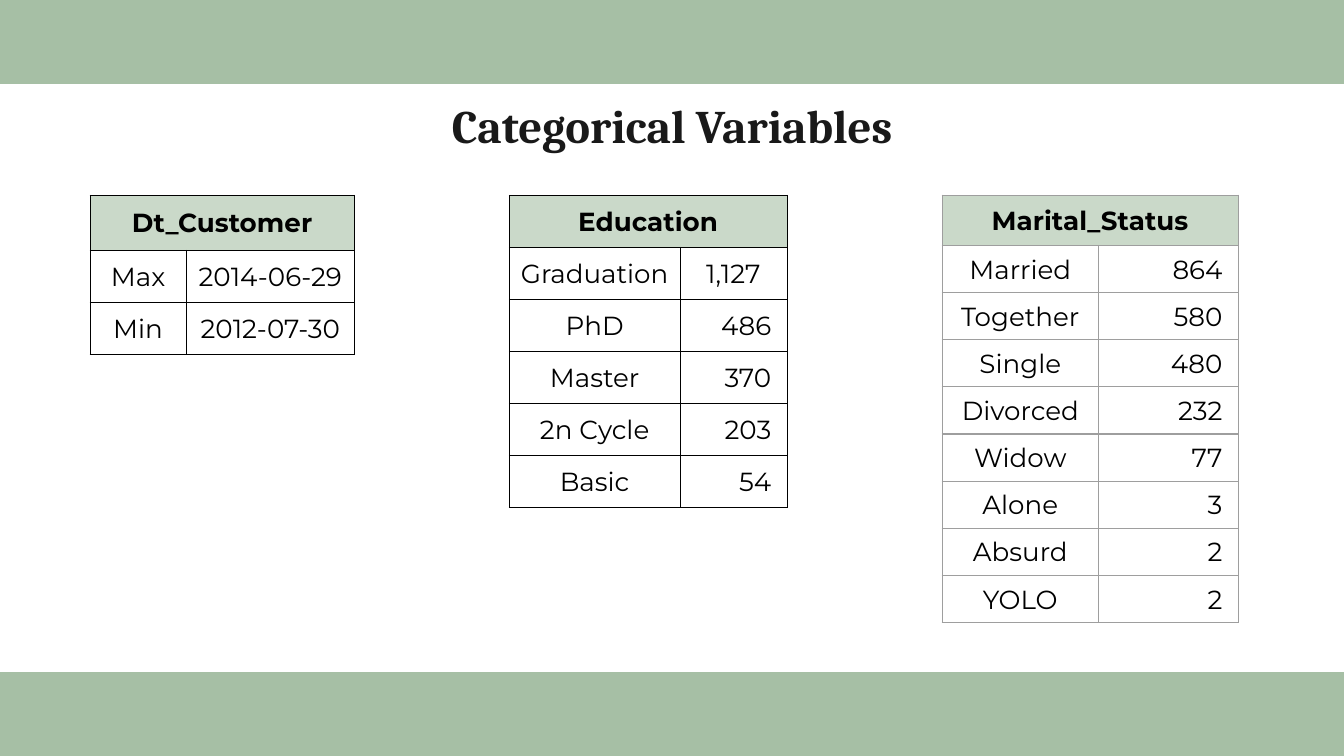
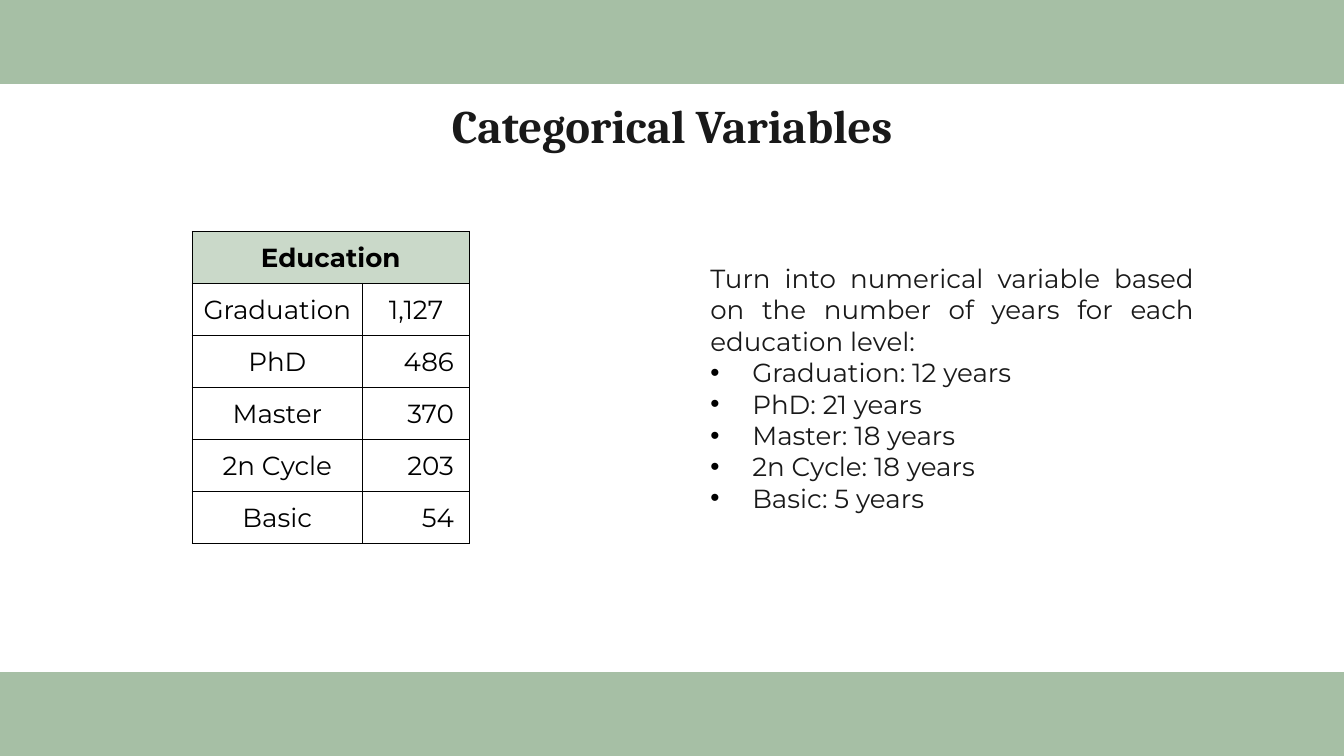
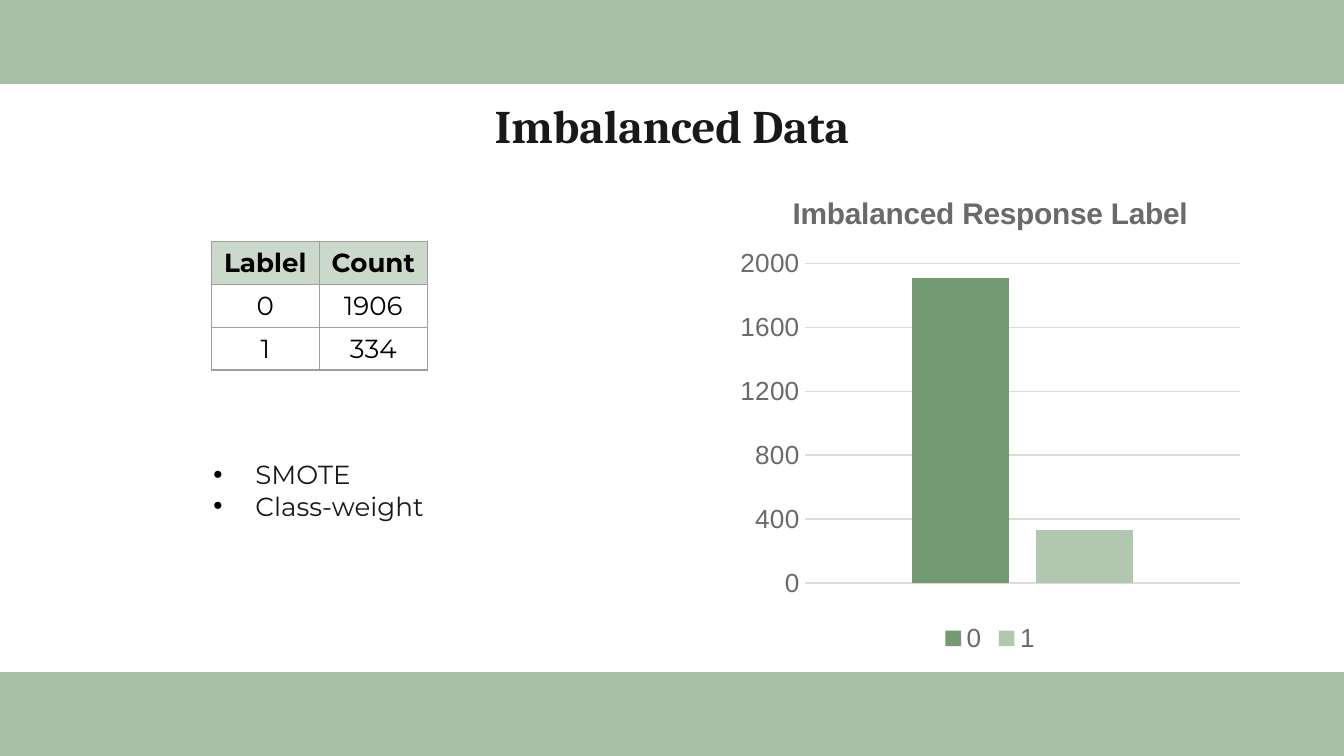
"""Build three slides on categorical variables and imbalanced data."""
from dataclasses import dataclass

from lxml.etree import SubElement
from pptx import Presentation
from pptx.chart.data import CategoryChartData
from pptx.dml.color import RGBColor
from pptx.enum.chart import XL_CHART_TYPE, XL_LEGEND_POSITION, XL_TICK_MARK
from pptx.enum.shapes import MSO_SHAPE
from pptx.enum.text import MSO_ANCHOR, PP_ALIGN
from pptx.oxml import parse_xml
from pptx.oxml.ns import nsdecls, qn
from pptx.util import Pt


@dataclass(frozen=True)
class Theme:
    """Colours, fonts and sizes shared by all slides."""
    band: str = "A6BFA5"
    paper: str = "FFFFFF"
    ink: str = "191919"
    black: str = "000000"
    grey: str = "9E9E9E"
    header: str = "CAD9C9"
    chart_text: str = "6A6A6A"
    grid: str = "DCDCDC"
    majority: str = "739A71"
    minority: str = "B1C7B0"
    title_font: str = "Cambria"
    body_font: str = "Montserrat"
    chart_font: str = "Arial"
    title_size: float = 25
    chart_title_size: float = 16
    body_size: float = 14
    text_inset: float = 7.2
    cell_inset: float = 0.72
    count_inset: float = 8.4
    bullet_indent: float = 22.5


@dataclass(frozen=True)
class Box:
    """A region of the slide in points."""
    left: float
    top: float
    width: float
    height: float

    def lengths(self):
        """Return the four sides as lengths."""
        return Pt(self.left), Pt(self.top), Pt(self.width), Pt(self.height)


THEME = Theme()
PAGE = Box(0, 0, 720, 405)
PANEL = Box(0, 45, 720, 315)
HEADING = Box(56.7, 44.6, 606.6, 45)

SIGN_UP_DATES = [("Max", "2014-06-29"), ("Min", "2012-07-30")]
EDUCATION = [("Graduation", "1,127"), ("PhD", "486"), ("Master", "370"),
             ("2n Cycle", "203"), ("Basic", "54")]
MARITAL = [("Married", "864"), ("Together", "580"), ("Single", "480"),
           ("Divorced", "232"), ("Widow", "77"), ("Alone", "3"),
           ("Absurd", "2"), ("YOLO", "2")]
RESPONSES = [("0", "1906"), ("1", "334")]
STUDY_YEARS = ["Graduation: 12 years", "PhD: 21 years", "Master: 18 years",
               "2n Cycle: 18 years", "Basic: 5 years"]


def rgb(code):
    """Turn a hex code into a colour."""
    return RGBColor.from_string(code)


def style_font(font, name, size, color, bold=False):
    """Set the face, size, colour and weight of a font."""
    font.name, font.size, font.bold = name, Pt(size), bold
    font.color.rgb = rgb(color)


def add_run(paragraph, words, name=THEME.body_font, size=THEME.body_size,
            color=THEME.ink, bold=False):
    """Add one styled run to a paragraph."""
    run = paragraph.add_run()
    run.text = words
    style_font(run.font, name, size, color, bold)


def add_frame(slide, box, anchor):
    """Add a wrapping text box and return its frame."""
    frame = slide.shapes.add_textbox(*box.lengths()).text_frame
    frame.word_wrap = True
    frame.vertical_anchor = anchor
    frame.margin_left = frame.margin_right = Pt(THEME.text_inset)
    frame.margin_top = frame.margin_bottom = Pt(THEME.text_inset)
    return frame


def add_titled_slide(deck, title):
    """Add a slide with green bands, a white panel and a title."""
    slide = deck.slides.add_slide(deck.slide_layouts[6])
    slide.background.fill.solid()
    slide.background.fill.fore_color.rgb = rgb(THEME.band)
    panel = slide.shapes.add_shape(MSO_SHAPE.RECTANGLE, *PANEL.lengths())
    panel.shadow.inherit = False
    panel.fill.solid()
    panel.fill.fore_color.rgb = rgb(THEME.paper)
    panel.line.fill.background()
    heading = add_frame(slide, HEADING, MSO_ANCHOR.MIDDLE).paragraphs[0]
    heading.alignment = PP_ALIGN.CENTER
    add_run(heading, title, THEME.title_font, THEME.title_size, bold=True)
    return slide


def add_bullet(paragraph):
    """Give a paragraph a hanging black bullet."""
    properties = paragraph._p.get_or_add_pPr()
    indent = Pt(THEME.bullet_indent)
    properties.set("marL", str(indent))
    properties.set("indent", str(-indent))
    color = SubElement(properties, qn("a:buClr"))
    SubElement(color, qn("a:srgbClr"), val=THEME.black)
    SubElement(properties, qn("a:buFont"), typeface=THEME.chart_font)
    SubElement(properties, qn("a:buChar"), char="•")


def add_notes_list(slide, box, bullets, intro=None):
    """Add a justified list with an optional opening sentence."""
    frame = add_frame(slide, box, MSO_ANCHOR.TOP)
    lines = ([intro] if intro else []) + bullets
    for position, words in enumerate(lines):
        paragraph = frame.add_paragraph() if position else frame.paragraphs[0]
        paragraph.alignment = PP_ALIGN.JUSTIFY
        if words != intro:
            add_bullet(paragraph)
        add_run(paragraph, words)


def add_borders(cell, color, weight):
    """Draw all four borders of a cell."""
    properties = cell._tc.get_or_add_tcPr()
    for side in ("lnL", "lnR", "lnT", "lnB"):
        border = SubElement(properties, qn(f"a:{side}"), w=str(Pt(weight)))
        fill = SubElement(border, qn("a:solidFill"))
        SubElement(fill, qn("a:srgbClr"), val=color)


def fill_cell(cell, words, border, is_header, alignment):
    """Style one table cell and write its words."""
    add_borders(cell, *border)
    cell.fill.solid()
    cell.fill.fore_color.rgb = rgb(THEME.header if is_header else THEME.paper)
    cell.vertical_anchor = MSO_ANCHOR.MIDDLE
    is_count = alignment == PP_ALIGN.RIGHT
    cell.margin_left = cell.margin_top = Pt(THEME.cell_inset)
    cell.margin_right = Pt(THEME.count_inset if is_count else THEME.cell_inset)
    cell.margin_bottom = Pt(0)
    paragraph = cell.text_frame.paragraphs[0]
    paragraph.alignment = alignment
    if words:
        add_run(paragraph, words, color=THEME.black, bold=is_header)


def add_value_table(slide, box, headings, entries, label_width, header_height,
                    border=(THEME.black, 0.5), count_alignment=PP_ALIGN.RIGHT):
    """Add a two-column table; a lone heading spans both columns."""
    grid = slide.shapes.add_table(len(entries) + 1, 2, *box.lengths()).table
    grid.first_row = grid.horz_banding = False
    grid.columns[0].width = Pt(label_width)
    grid.columns[1].width = Pt(box.width - label_width)
    body_height = (box.height - header_height) / len(entries)
    header = (headings + ("",))[:2]
    for row, values in enumerate([header, *entries]):
        grid.rows[row].height = Pt(body_height if row else header_height)
        for column, words in enumerate(values):
            counted = row and column and words.isdigit()
            fill_cell(grid.cell(row, column), words, border, row == 0,
                      count_alignment if counted else PP_ALIGN.CENTER)
    if len(headings) == 1:
        grid.cell(0, 0).merge(grid.cell(0, 1))


def add_education_table(slide, left, top):
    """Add the education counts at the given corner."""
    add_value_table(slide, Box(left, top, 148.7, 167.2), ("Education",),
                    EDUCATION, 91.4, 27.9)


def place_plot(chart, box, plot):
    """Fix the inner plot area, given in points within the chart box."""
    area = chart._chartSpace.chart.plotArea
    for layout in area.findall(qn("c:layout")):
        area.remove(layout)
    shares = {"x": plot.left / box.width, "y": plot.top / box.height,
              "w": plot.width / box.width, "h": plot.height / box.height}
    parts = "".join(f'<c:{key} val="{share}"/>' for key, share in shares.items())
    area.insert(0, parse_xml(
        f'<c:layout {nsdecls("c")}><c:manualLayout><c:layoutTarget val="inner"/>'
        f'<c:xMode val="edge"/><c:yMode val="edge"/>{parts}'
        '</c:manualLayout></c:layout>'))


def add_response_chart(slide, box):
    """Add the column chart of response labels, rounded to tens."""
    counts = CategoryChartData()
    counts.categories = ["1"]
    for label, count in RESPONSES:
        counts.add_series(label, [round(int(count), -1)])
    chart = slide.shapes.add_chart(
        XL_CHART_TYPE.COLUMN_CLUSTERED, *box.lengths(), counts).chart
    chart_text = (THEME.chart_font, THEME.body_size, THEME.chart_text)
    style_font(chart.font, *chart_text)
    chart.has_title = True
    add_run(chart.chart_title.text_frame.paragraphs[0],
            "Imbalanced Response Label", THEME.chart_font,
            THEME.chart_title_size, THEME.chart_text, True)
    chart.chart_title.include_in_layout = False
    chart.has_legend = True
    chart.legend.position = XL_LEGEND_POSITION.BOTTOM
    chart.legend.include_in_layout = False
    style_font(chart.legend.font, *chart_text)
    chart.category_axis.visible = False
    scale = chart.value_axis
    scale.minimum_scale, scale.maximum_scale, scale.major_unit = 0, 2000, 400
    scale.major_tick_mark = scale.minor_tick_mark = XL_TICK_MARK.NONE
    scale.format.line.fill.background()
    scale.major_gridlines.format.line.color.rgb = rgb(THEME.grid)
    scale.major_gridlines.format.line.width = Pt(0.75)
    style_font(scale.tick_labels.font, *chart_text)
    columns = chart.plots[0]
    columns.gap_width, columns.overlap = 219, -27
    columns.vary_by_categories = False
    for label, color in zip(columns.series, (THEME.majority, THEME.minority)):
        label.format.fill.solid()
        label.format.fill.fore_color.rgb = rgb(color)
    place_plot(chart, box, Box(40, 48.9, 233.3, 171.4))


def build_variables_slide(deck):
    """Build the overview of the three categorical variables."""
    slide = add_titled_slide(deck, "Categorical Variables")
    top = 104.6
    add_value_table(slide, Box(48.2, top, 141.7, 85.2), ("Dt_Customer",),
                    SIGN_UP_DATES, 51.6, 29.5)
    add_education_table(slide, 272.9, top)
    add_value_table(slide, Box(504.7, top, 158.6, 229), ("Marital_Status",),
                    MARITAL, 83.8, 26.9, (THEME.grey, 0.75))


def build_education_slide(deck):
    """Build the conversion of education levels to years."""
    slide = add_titled_slide(deck, "Categorical Variables")
    add_notes_list(slide, Box(373.4, 133.4, 273.4, 167), STUDY_YEARS,
                   "Turn into numerical variable based on the number of years "
                   "for each education level:")
    add_education_table(slide, 102.9, 123.9)


def build_imbalance_slide(deck):
    """Build the table, remedies and chart of response labels."""
    slide = add_titled_slide(deck, "Imbalanced Data")
    add_notes_list(slide, Box(107.2, 238.5, 128.2, 45.4),
                   ["SMOTE", "Class-weight"])
    add_value_table(slide, Box(113.2, 129.3, 115.8, 69), ("Lablel", "Count"),
                    RESPONSES, 57.9, 23, (THEME.grey, 0.75), PP_ALIGN.CENTER)
    add_response_chart(slide, Box(391.2, 92.2, 278.6, 260.6))


def main():
    """Build and save the deck."""
    deck = Presentation()
    deck.slide_width, deck.slide_height = Pt(PAGE.width), Pt(PAGE.height)
    build_variables_slide(deck)
    build_education_slide(deck)
    build_imbalance_slide(deck)
    deck.save("out.pptx")


if __name__ == "__main__":
    main()
